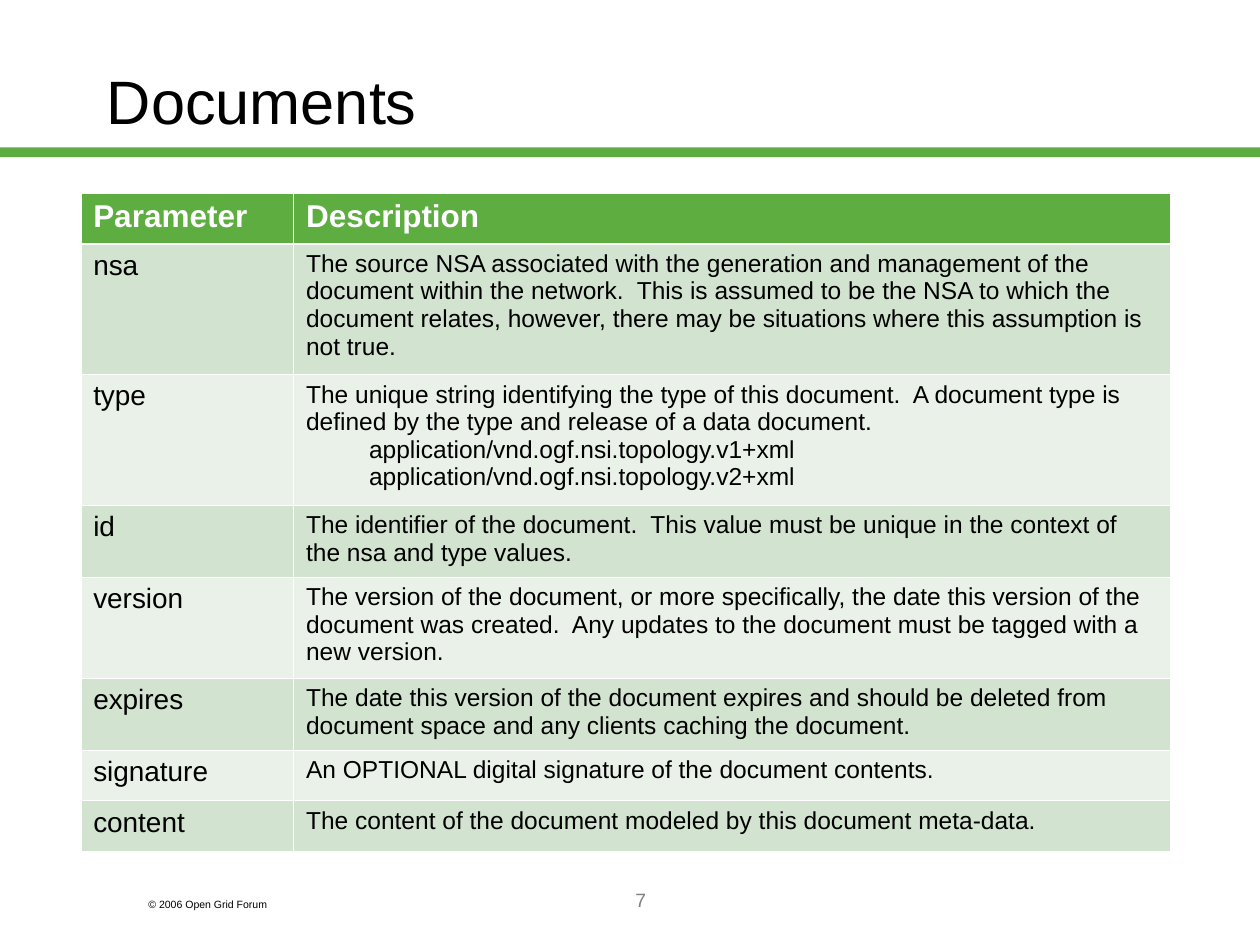
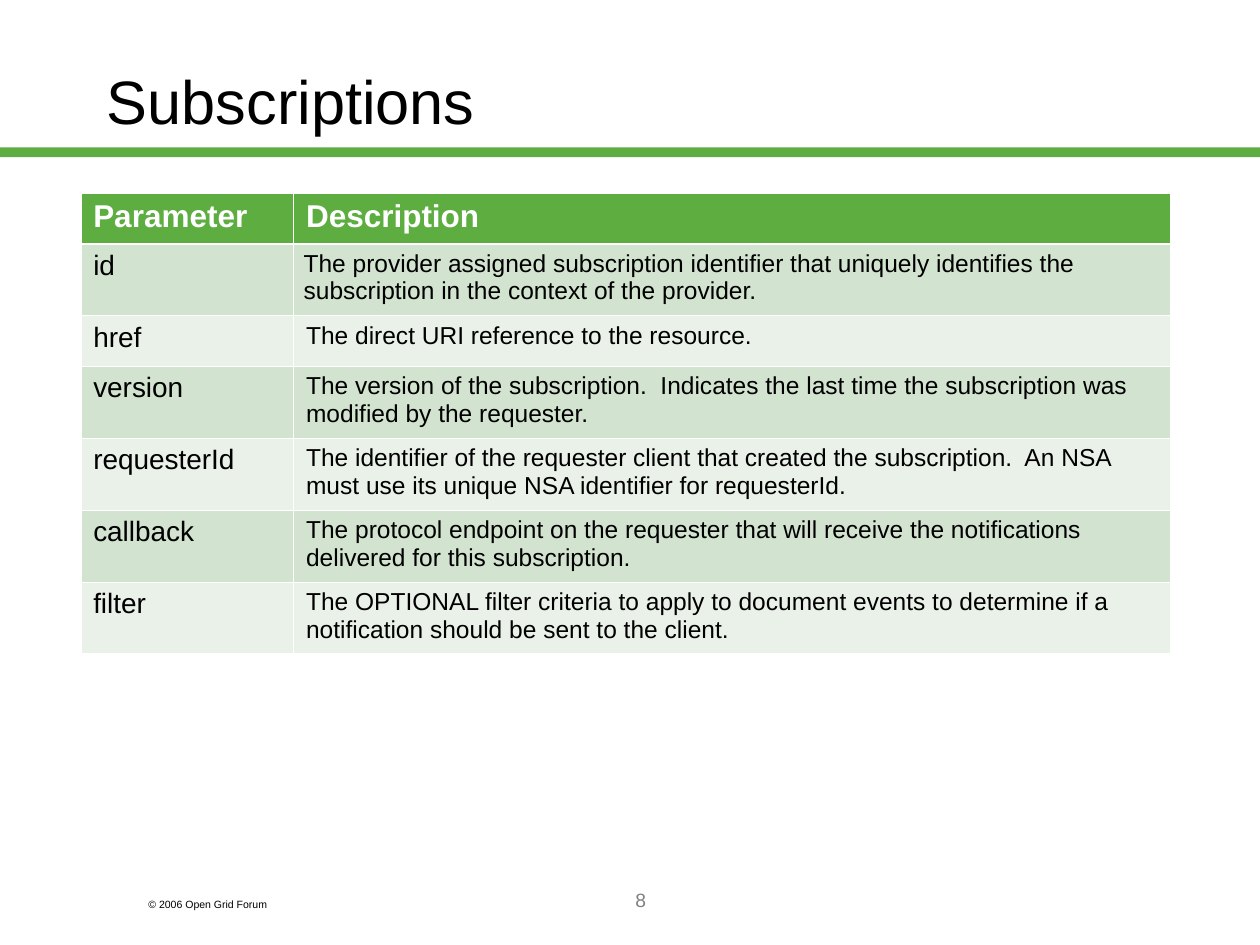
from pptx import Presentation
from pptx.dml.color import RGBColor
from pptx.enum.shapes import MSO_SHAPE as Shape
from pptx.enum.text import MSO_ANCHOR as Anchor, PP_ALIGN as Align
from pptx.oxml.ns import qn
from pptx.util import Cm, Pt
from lxml.etree import Element, SubElement

COLOURS = {
    "green": "5DAD41",
    "dark_band": "D2E3CF",
    "light_band": "EAF1E8",
    "white": "FFFFFF",
    "black": "000000",
    "grey": "808080",
}
FONT = "Arial"
TITLE_ONLY = 5
COLUMN_WIDTHS = (4.29, 17.68)
HEADER_HEIGHT = 1.02
HEIGHT_BY_LINES = {1: 1.02, 2: 1.45, 3: 2.03, 4: 2.62}
TIGHT_HEIGHT = 1.37
THIN, THICK = 0.45, 1.47

# Each row: parameter, number of lines, description paragraphs (the first flush, the rest indented)
DOCUMENT_ROWS = [
    ("nsa", 4, ["The source NSA associated with the generation and management of the document "
                "within the network.  This is assumed to be the NSA to which the document relates, "
                "however, there may be situations where this assumption is not true."]),
    ("type", 4, ["The unique string identifying the type of this document.  A document type is "
                 "defined by the type and release of a data document.",
                 "application/vnd.ogf.nsi.topology.v1+xml",
                 "application/vnd.ogf.nsi.topology.v2+xml"]),
    ("id", 2, ["The identifier of the document.  This value must be unique in the context of "
               "the nsa and type values."]),
    ("version", 3, ["The version of the document, or more specifically, the date this version of "
                    "the document was created.  Any updates to the document must be tagged with a "
                    "new version."]),
    ("expires", 2, ["The date this version of the document expires and should be deleted from "
                    "document space and any clients caching the document."]),
    ("signature", 1, ["An OPTIONAL digital signature of the document contents."]),
    ("content", 1, ["The content of the document modeled by this document meta-data."]),
]
SUBSCRIPTION_ROWS = [
    ("id", 2, ["The provider assigned subscription identifier that uniquely identifies the "
               "subscription in the context of the provider."]),
    ("href", 1, ["The direct URI reference to the resource."]),
    ("version", 2, ["The version of the subscription.  Indicates the last time the subscription "
                    "was modified by the requester."]),
    ("requesterId", 2, ["The identifier of the requester client that created the subscription.  "
                        "An NSA must use its unique NSA identifier for requesterId."]),
    ("callback", 2, ["The protocol endpoint on the requester that will receive the notifications "
                     "delivered for this subscription."]),
    ("filter", 2, ["The OPTIONAL filter criteria to apply to document events to determine if a "
                   "notification should be sent to the client."]),
]


def rgb(name):
    return RGBColor.from_string(COLOURS[name])


def write(frame, *lines, size, colour="black", bold=False, align=Align.LEFT):
    """Fill a text frame; every line after the first is one level down."""
    for index, line in enumerate(lines):
        paragraph = frame.add_paragraph() if index else frame.paragraphs[0]
        paragraph.alignment = align
        if index:
            paragraph.level = 1
            paragraph._p.get_or_add_pPr().set("marL", str(Cm(1.27)))
        run = paragraph.add_run()
        run.text = line
        run.font.name = FONT
        run.font.size = Pt(size)
        run.font.bold = bold
        run.font.color.rgb = rgb(colour)


def set_borders(cell, top=THIN, bottom=THIN):
    properties = cell._tc.get_or_add_tcPr()
    widths = {"lnL": THIN, "lnR": THIN, "lnT": top, "lnB": bottom}
    for index, (side, width) in enumerate(widths.items()):
        line = Element(qn(f"a:{side}"), w=str(Pt(width)))
        fill = SubElement(line, qn("a:solidFill"))
        SubElement(fill, qn("a:srgbClr"), val=COLOURS["white"])
        properties.insert(index, line)


class Deck:
    def __init__(self):
        self.presentation = Presentation()
        self.presentation.slide_width = Cm(25.4)
        self.presentation.slide_height = Cm(19.05)
        self.slide = None

    def start_slide(self, heading, number):
        layout = self.presentation.slide_layouts[TITLE_ONLY]
        self.slide = self.presentation.slides.add_slide(layout)
        self.title(heading)
        self.band()
        self.text(1.08 * 2.54, 17.98, 3.81, 0.51, "© 2006 Open Grid Forum", size=6)
        self.text(5.51, 17.78, 14.81, 1.27, str(number), size=11, colour="grey",
                  align=Align.CENTER)

    def title(self, heading):
        title = self.slide.shapes.title
        title.left, title.top, title.width, title.height = Cm(1.9), Cm(0.43), Cm(21.6), Cm(3.18)
        title.text_frame.vertical_anchor = Anchor.MIDDLE
        write(title.text_frame, heading, size=35)

    def band(self):
        band = self.slide.shapes.add_shape(Shape.RECTANGLE, 0, Cm(2.97),
                                           self.presentation.slide_width, Cm(0.2))
        band.shadow.inherit = False
        band.fill.solid()
        band.fill.fore_color.rgb = rgb("green")
        band.line.fill.background()

    def text(self, left, top, width, height, content, **style):
        box = self.slide.shapes.add_textbox(Cm(left), Cm(top), Cm(width), Cm(height))
        box.text_frame.word_wrap = True
        write(box.text_frame, content, **style)

    def cell(self, cell, lines, fill, margin=0.25, top=THIN, bottom=THIN, **style):
        cell.margin_left = cell.margin_right = Cm(margin)
        cell.margin_top = cell.margin_bottom = Cm(0.13)
        cell.fill.solid()
        cell.fill.fore_color.rgb = rgb(fill)
        set_borders(cell, top, bottom)
        write(cell.text_frame, *lines, **style)

    def parameter_table(self, rows, tight_parameter=None):
        """Add the two-column table; the tight parameter gets a lower row and narrower margins."""
        heights = [HEADER_HEIGHT] + [
            TIGHT_HEIGHT if parameter == tight_parameter else HEIGHT_BY_LINES[line_count]
            for parameter, line_count, _ in rows]
        table = self.slide.shapes.add_table(
            len(heights), 2, Cm(1.63), Cm(3.89),
            Cm(sum(COLUMN_WIDTHS)), Cm(sum(heights))).table
        table.horz_banding = False
        for column, width in zip(table.columns, COLUMN_WIDTHS):
            column.width = Cm(width)
        for row, height in zip(table.rows, heights):
            row.height = Cm(height)

        for column, label in enumerate(("Parameter", "Description")):
            self.cell(table.cell(0, column), [label], "green", bottom=THICK,
                      size=18, colour="white", bold=True)
        for index, (parameter, _, description) in enumerate(rows, start=1):
            fill = "dark_band" if index % 2 else "light_band"
            top = THICK if index == 1 else THIN
            margin = 0.2 if parameter == tight_parameter else 0.25
            self.cell(table.cell(index, 0), [parameter], fill, top=top, size=16)
            self.cell(table.cell(index, 1), description, fill, margin, top=top, size=14)


def main():
    deck = Deck()
    deck.start_slide("Documents", 7)
    deck.parameter_table(DOCUMENT_ROWS)
    deck.start_slide("Subscriptions", 8)
    deck.parameter_table(SUBSCRIPTION_ROWS, tight_parameter="id")
    deck.presentation.save("out.pptx")


if __name__ == "__main__":
    main()
